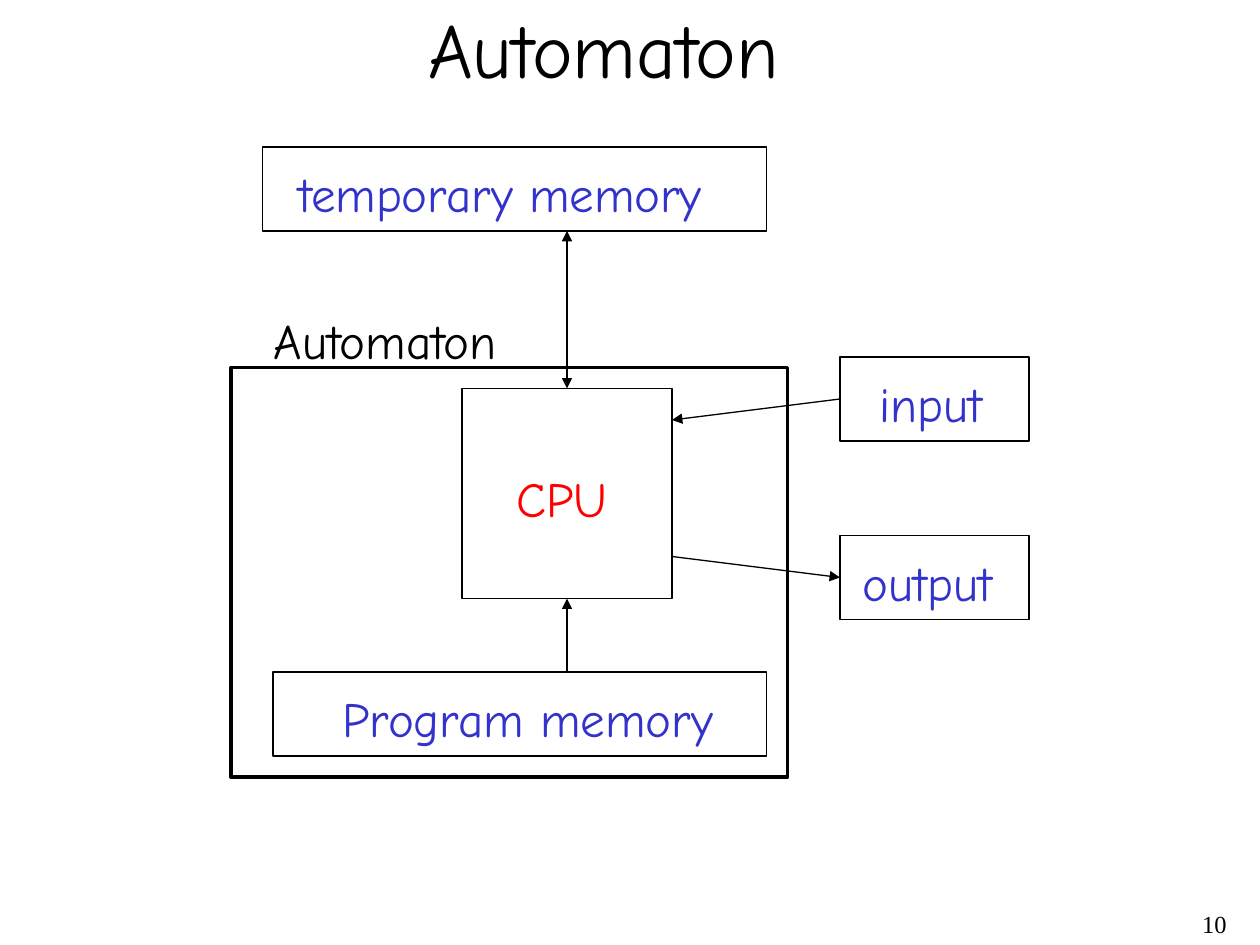
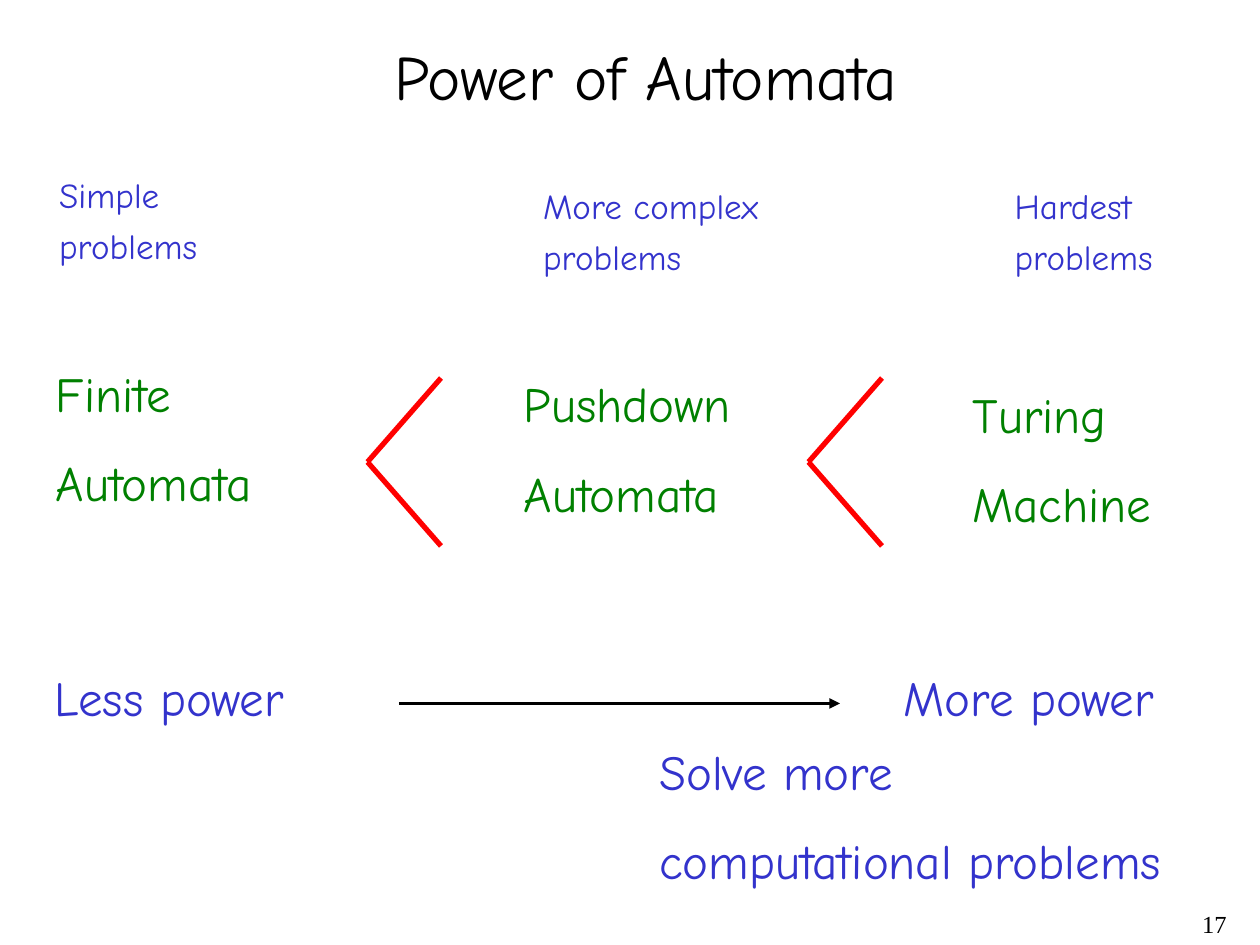
import lxml.etree
import pptx
import pptx.dml.color
import pptx.enum.shapes
import pptx.enum.text
import pptx.oxml.ns
import pptx.util

BLACK = pptx.dml.color.RGBColor(0x00, 0x00, 0x00)
BLUE = pptx.dml.color.RGBColor(0x33, 0x33, 0xCC)
GREEN = pptx.dml.color.RGBColor(0x00, 0x80, 0x00)
RED = pptx.dml.color.RGBColor(0xFF, 0x00, 0x00)

deck = pptx.Presentation()
deck.slide_width = pptx.util.Inches(10)
deck.slide_height = pptx.util.Inches(7.5)

# Grid of 120 columns by 90 rows, square cells
CELL = deck.slide_width / 120

# Text styles: font size, space between paragraphs
TITLE = (44, 0)
HEAD = (36, 0)
BODY = (28, 17.5)
NOTE = (20, 5)
PAGE = (14, 0)
HAND = "Comic Neue"
SERIF = "Times New Roman"
LEFT = pptx.enum.text.PP_ALIGN.LEFT
RIGHT = pptx.enum.text.PP_ALIGN.RIGHT


def write(slide, place, lines, style, ink, face=HAND, align=LEFT):
    size, gap = style
    box = slide.shapes.add_textbox(*[round(n * CELL) for n in place])
    frame = box.text_frame
    frame.word_wrap = True
    for row, words in enumerate(lines):
        para = frame.paragraphs[0] if row == 0 else frame.add_paragraph()
        para.alignment = align
        if row:
            para.space_before = pptx.util.Pt(gap)
        run = para.add_run()
        run.text = words
        look = {"name": face, "size": pptx.util.Pt(size)}
        for key, val in look.items():
            setattr(run.font, key, val)
        run.font.color.rgb = ink


def link(slide, ends, ink, width, tips=()):
    kind = pptx.enum.shapes.MSO_CONNECTOR.STRAIGHT
    wire = slide.shapes.add_connector(kind, *[round(n * CELL) for n in ends])
    wire.line.color.rgb = ink
    wire.line.width = pptx.util.Pt(width)
    props = wire._element.spPr
    edge = props.find(pptx.oxml.ns.qn("a:ln"))
    for tip in tips:
        end = lxml.etree.SubElement(edge, pptx.oxml.ns.qn("a:" + tip))
        end.set("type", "triangle")
    lxml.etree.SubElement(props, pptx.oxml.ns.qn("a:effectLst"))


# Both slides: page number and title
heads = [
    ("10", "Automaton", (39.6, -0.4, 37, 10), TITLE),
    ("17", "Power of Automata", (36.4, 3, 52, 8.4), HEAD),
]
slides = []
for page, name, place, style in heads:
    slide = deck.slides.add_slide(deck.slide_layouts[6])
    write(slide, (93, 86, 25, 4), [page], PAGE, BLACK, SERIF, RIGHT)
    write(slide, place, [name], style, BLACK)
    slides.append(slide)
plan, power = slides

# Slide 1: boxes of the machine
boxes = [
    ((44, 37, 20, 20), 0.75),
    ((25, 14, 48, 8), 0.75),
    ((80, 34, 18, 8), 0.75),
    ((80, 51, 18, 8), 0.75),
    ((26, 64, 47, 8), 0.75),
    ((22, 35, 53, 39), 2),
]
for place, width in boxes:
    spot = [round(n * CELL) for n in place]
    box = plan.shapes.add_shape(pptx.enum.shapes.MSO_SHAPE.RECTANGLE, *spot)
    box.shadow.inherit = False
    box.fill.background()
    box.line.color.rgb = BLACK
    box.line.width = pptx.util.Pt(width)

# Slide 1: labels
labels = [
    ("CPU", 48, 44, 12, RED),
    ("input", 82.6, 35, 13, BLUE),
    ("output", 80.95, 52, 15.5, BLUE),
    ("Program memory", 31.4, 65, 38.5, BLUE),
    ("temporary memory", 27.25, 15, 41.5, BLUE),
    ("Automaton", 24.9, 29, 24.5, BLACK),
]
for words, col, row, wide, ink in labels:
    write(plan, (col, row, wide, 6.8), [words], BODY, ink)

# Slide 1: arrows to and from the CPU
flows = [
    ((54, 22, 54, 37), ("headEnd", "tailEnd")),
    ((64, 40, 80, 38), ("headEnd",)),
    ((64, 53, 80, 55), ("tailEnd",)),
    ((54, 57, 54, 64), ("headEnd",)),
]
for ends, tips in flows:
    link(plan, ends, BLACK, 0.75, tips)

# Slide 2: machines and the problems they solve
texts = [
    ((4.15, 34, 22, 15.4), ["Finite", "Automata"], BODY, GREEN),
    ((48.7, 35, 22.7, 15.4), ["Pushdown", "Automata"], BODY, GREEN),
    ((91.45, 36, 20, 15.4), ["Turing", "Machine"], BODY, GREEN),
    ((4.45, 15.95, 16, 10), ["Simple", "problems"], NOTE, BLUE),
    ((50.55, 17, 23.5, 10), ["More complex", "problems"], NOTE, BLUE),
    ((95.45, 17, 16, 10), ["Hardest", "problems"], NOTE, BLUE),
    ((4.05, 63, 25, 6.8), ["Less power"], BODY, BLUE),
    ((84.9, 63, 27, 6.8), ["More power"], BODY, BLUE),
    ((61.6, 70, 51, 15.4), ["Solve more", "computational problems"], BODY, BLUE),
]
for place, lines, style, ink in texts:
    write(power, place, lines, style, ink)

# Slide 2: less-than signs, each of two strokes
for col in (35, 77):
    for row in (36, 52):
        link(power, (col, 44, col + 7, row), RED, 3)

# Slide 2: arrow of growing power
link(power, (38, 67, 80, 67), BLACK, 2, ("tailEnd",))

deck.save("out.pptx")
